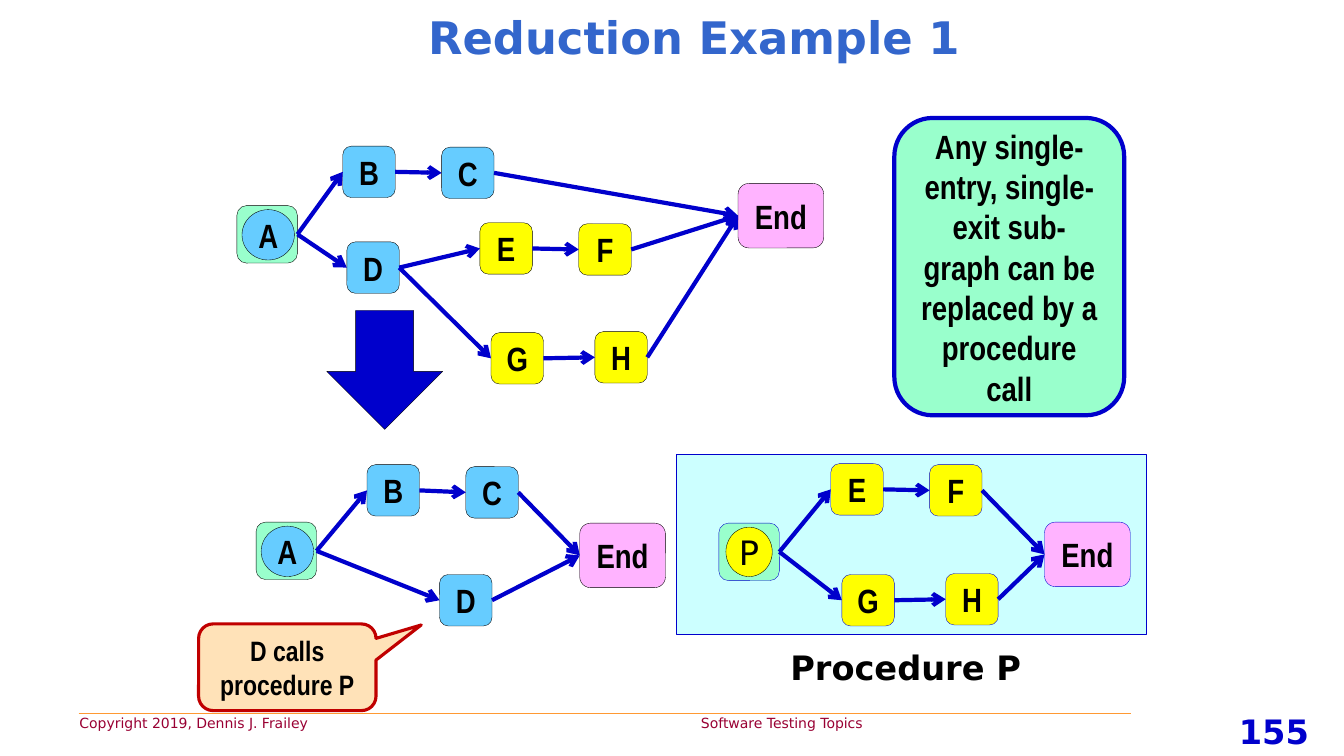
from lxml import etree
from pptx import Presentation
from pptx.dml.color import RGBColor
from pptx.enum import shapes, text
from pptx.oxml import ns
from pptx.util import Inches, Pt

COLORS = {
    "blue": "0000CC", "title": "3366CC", "black": "000000", "maroon": "990033",
    "orange": "FF9933", "panel": "CCFFFF", "mint": "99FFCC", "sky": "66CCFF",
    "pink": "FFB3FF", "yellow": "FFFF00", "peach": "FFE2B8", "red": "C00000",
}
SHAPE = shapes.MSO_SHAPE
CENTER = text.PP_ALIGN.CENTER
LEFT = text.PP_ALIGN.LEFT
NARROW = "Arial Narrow"
SANS = "DejaVu Sans"


def write(box, words, size, name=NARROW, color="black", bold=True,
          align=CENTER, anchor=text.MSO_ANCHOR.MIDDLE, margin=0.1, wrap=True):
    frame = box.text_frame
    frame_format = {
        "word_wrap": wrap, "vertical_anchor": anchor, "auto_size": text.MSO_AUTO_SIZE.NONE,
        "margin_left": Inches(margin), "margin_right": Inches(margin),
        "margin_top": Inches(margin / 2), "margin_bottom": Inches(margin / 2),
    }
    for key, value in frame_format.items():
        setattr(frame, key, value)
    para = frame.paragraphs[0]
    para.alignment = align
    para.space_before = Pt(0)
    span = para.add_run()
    span.text = words
    for key, value in {"name": name, "size": Pt(size), "bold": bold}.items():
        setattr(span.font, key, value)
    span.font.color.rgb = RGBColor.from_string(COLORS[color])
    return para


def draw(kind, left, top, width, height, fill, line="black", weight=0.25):
    shape = page.shapes.add_shape(kind, Inches(left), Inches(top), Inches(width), Inches(height))
    shape.shadow.inherit = False
    shape.fill.solid()
    shape.fill.fore_color.rgb = RGBColor.from_string(COLORS[fill])
    shape.line.color.rgb = RGBColor.from_string(COLORS[line])
    shape.line.width = Pt(weight)
    return shape


deck = Presentation()
deck.slide_width, deck.slide_height = Inches(13.33), Inches(7.5)
page = deck.slides.add_slide(deck.slide_layouts[5])

title = page.shapes.title
place = {"left": 0.95, "top": 0, "width": 11.87, "height": 0.73}
for key, value in place.items():
    setattr(title, key, Inches(value))
write(title, "Reduction Example 1", 32, SANS, "title")

footer_rule = page.shapes.add_connector(
    shapes.MSO_CONNECTOR.STRAIGHT, Inches(0.78), Inches(7.08), Inches(11.22), Inches(7.08))
footer_rule.line.color.rgb = RGBColor.from_string(COLORS["orange"])
footer_rule.line.width = Pt(0.75)
etree.SubElement(footer_rule._element.spPr, ns.qn("a:effectLst"))

labels = [
    (0.69, 7.04, 10.64, 0.27, "Copyright 2019, Dennis J. Frailey\t Software Testing Topics",
     10, "maroon", False, LEFT),
    (11.93, 7, 1.41, 0.5, "155", 24, "blue", True, CENTER),
    (7.74, 6.37, 2.62, 0.5, "Procedure P", 24, "black", True, LEFT),
]
for left, top, width, height, words, size, color, bold, align in labels:
    box = page.shapes.add_textbox(Inches(left), Inches(top), Inches(width), Inches(height))
    para = write(box, words, size, SANS, color, bold, align, text.MSO_ANCHOR.TOP)
    if "\t" in words:
        tabs = etree.SubElement(para._p.get_or_add_pPr(), ns.qn("a:tabLst"))
        etree.SubElement(tabs, ns.qn("a:tab"), pos=str(Inches(6.12)), algn="l")

draw(SHAPE.RECTANGLE, 6.71, 4.51, 4.66, 1.78, "panel", "blue")
draw(SHAPE.DOWN_ARROW, 3.24, 3.08, 1.15, 1.18, "blue")

sizes = {"mint": (0.6, 0.57), "pink": (0.85, 0.64), "sky": (0.52, 0.51), "yellow": (0.52, 0.51)}
graphs = [
    {
        "line": "black",
        "nodes": {
            "A": (2.35, 2.04, "mint"), "B": (3.4, 1.45, "sky"), "C": (4.38, 1.46, "sky"),
            "D": (3.44, 2.4, "sky"), "E": (4.76, 2.21, "yellow"), "F": (5.74, 2.22, "yellow"),
            "G": (4.87, 3.3, "yellow"), "H": (5.9, 3.29, "yellow"), "End": (7.32, 1.82, "pink"),
        },
        "paths": ["A B C End", "A D E F End", "D G H End"],
    },
    {
        "line": "black",
        "nodes": {
            "A": (2.54, 5.18, "mint"), "B": (3.64, 4.61, "sky"), "C": (4.62, 4.63, "sky"),
            "D": (4.36, 5.7, "sky"), "End": (5.75, 5.19, "pink"),
        },
        "paths": ["A B C End", "A D End"],
    },
    {
        "line": "blue",
        "nodes": {
            "P": (7.13, 5.19, "mint"), "E": (8.24, 4.6, "yellow"), "F": (9.22, 4.61, "yellow"),
            "G": (8.35, 5.7, "yellow"), "H": (9.38, 5.69, "yellow"), "End": (10.36, 5.18, "pink"),
        },
        "paths": ["P E F End", "P G H End"],
    },
]
right_side, left_side = 3, 1
for graph in graphs:
    nodes = {}
    for label, (left, top, fill) in graph["nodes"].items():
        node = draw(SHAPE.ROUNDED_RECTANGLE, left, top, *sizes[fill], fill, graph["line"])
        nodes[label] = node
        if label == "A":
            node = draw(SHAPE.OVAL, left + 0.05, top + 0.04, 0.52, 0.5, "sky")
        elif label == "P":
            node = draw(SHAPE.OVAL, left + 0.07, top + 0.04, 0.46, 0.49, "yellow")
        procedure = label == "P"
        write(node, label, 24, SANS if procedure else NARROW, bold=not procedure,
              margin=0, wrap=False)
    for route in graph["paths"]:
        stops = route.split()
        for source, target in zip(stops, stops[1:]):
            arrow = page.shapes.add_connector(shapes.MSO_CONNECTOR.STRAIGHT, 0, 0, 0, 0)
            arrow.begin_connect(nodes[source], right_side)
            arrow.end_connect(nodes[target], left_side)
            arrow.line.color.rgb = RGBColor.from_string(COLORS["blue"])
            arrow.line.width = Pt(3)
            etree.SubElement(arrow.line._get_or_add_ln(), ns.qn("a:tailEnd"), type="arrow")
            etree.SubElement(arrow._element.spPr, ns.qn("a:effectLst"))

callout = draw(SHAPE.ROUNDED_RECTANGULAR_CALLOUT, 1.97, 6.19, 1.76, 0.86, "peach", "red", 2.25)
for index, value in enumerate([0.755, -0.488, 0.167]):
    callout.adjustments[index] = value
write(callout, "D calls procedure P", 20)

rule_box = draw(SHAPE.ROUNDED_RECTANGLE, 8.87, 1.17, 2.28, 2.95, "mint", "blue", 3)
write(rule_box, "Any single-entry, single-exit sub-graph can be replaced by a procedure call", 24)

deck.save("out.pptx")
